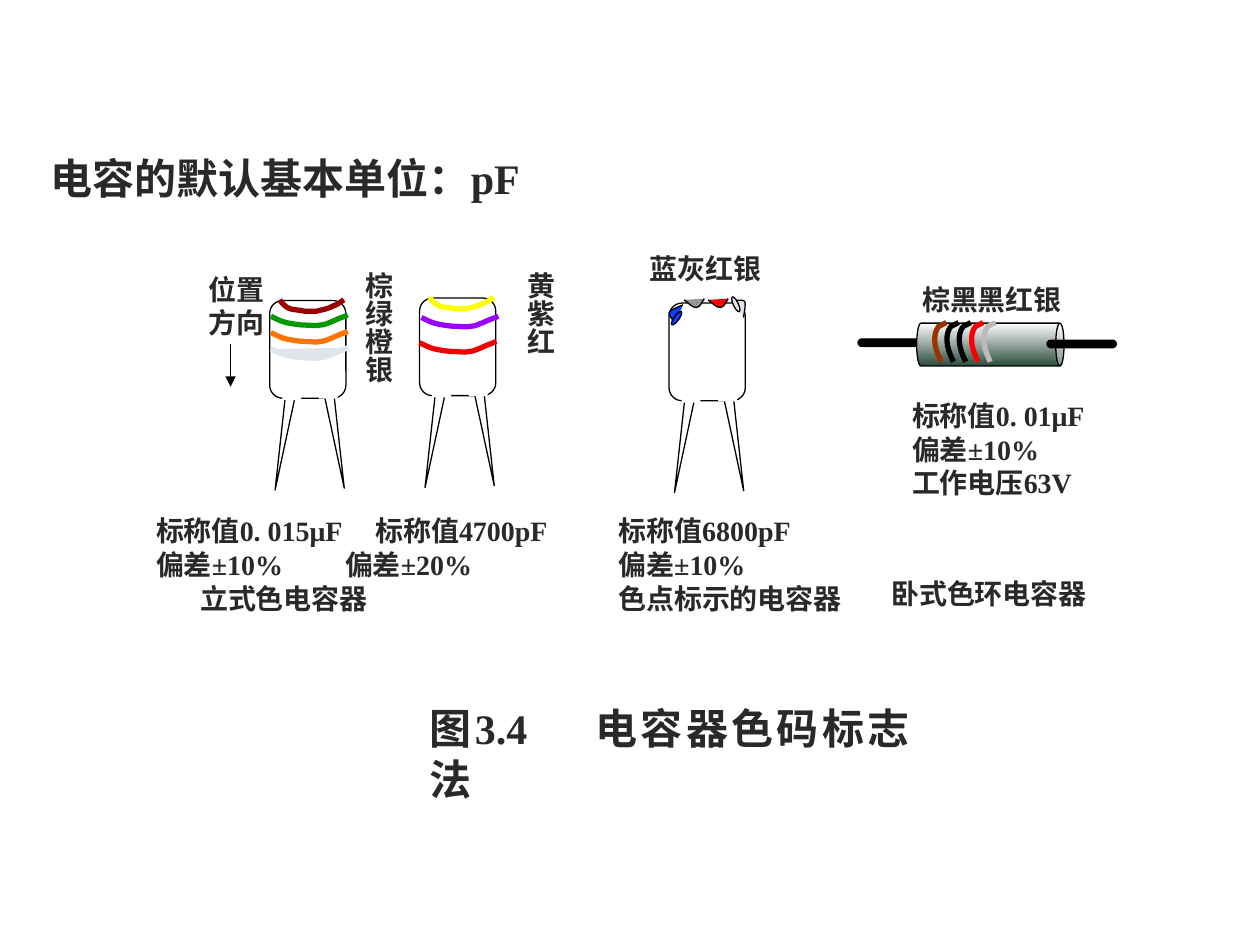
from math import cos, radians, sin

from lxml.etree import SubElement
from pptx import Presentation
from pptx.dml.color import RGBColor
from pptx.enum.shapes import MSO_CONNECTOR, MSO_SHAPE
from pptx.enum.text import MSO_AUTO_SIZE, PP_ALIGN
from pptx.oxml.ns import qn
from pptx.util import Inches, Pt

# Lengths are cells of a square grid, 1000 columns by 750 rows
THEME = dict(font="Times New Roman", ink="292929", line="000000", paper="FFFFFF",
             shade="2C4D3E", silver="E0E5EC", red="F80004", blue="0E3DFD",
             body=16, head=24, thin=0.75, band=3)
COLS = 1000

# Text: box, paragraphs as (text, indent, tab stop), options
TEXTS = [
    ((506, 194.5, 111, 42), [("蓝灰红银", 0, 0)], {}),
    ((481, 403, 217, 90),
     [("标称值6800pF", 0, 0), ("偏差±10%", 0, 0), ("色点标示的电容器", 0, 0)], {}),
    ((722, 219, 158, 25), [("棕黑黑红银", 0, 0)], {}),
    ((714, 311.5, 175, 100),
     [("标称值0. 01μF", 0, 0), ("偏差±10%", 0, 0), ("工作电压63V", 0, 0)], {}),
    ((114, 403, 344, 100),
     [("标称值0. 015μF\t标称值4700pF", 0, 174), ("偏差±10%\t偏差±20%", 0, 150),
      ("立式色电容器", 35, 0)], {}),
    ((697.5, 453, 192, 50), [("卧式色环电容器", 0, 0)], {}),
    ((331, 553, 401, 78), [("图3.4\t电容器色码标志法", 0, 126)], {"size": "head"}),
    ((156, 211, 65, 112), [("位置", 0, 0), ("方向", 0, 0)], {}),
    ((264, 203, 55, 116), [("棕绿橙银", 0, 0)], {"vertical": True}),
    ((389, 203, 58, 93), [("黄紫红", 0, 0)], {"vertical": True}),
    ((30.5, 116, 445, 50), [("电容的默认基本单位：pF", 0, 0)],
     {"size": "head", "align": PP_ALIGN.LEFT, "grow": True}),
]

# Bezier outlines: a start point, then three points per segment;
# a spare last point only widens the frame
SHORT = [(0, 0), (2, 3), (5, 6), (8, 7), (11, 8), (16, 8), (20, 9), (23, 9), (26, 9),
         (29, 9), (33, 8), (39, 7), (42, 5), (46, 4), (49, 1), (51, 0)]
LONG = [(0, 1), (4, 3), (8, 5), (12, 6), (17, 7), (23, 8), (27, 8), (32, 8), (36, 9),
        (39, 8), (43, 8), (46, 6), (49, 5), (53, 3), (59, 1), (61, 0)]
RING = [(7, 31), (1, 20), (0, 9), (5, 3), (7, 2), (9, 1), (11, 0), (34, 31)]
DOT = [(0, 1), (2, 2), (7, 8), (10, 7), (13, 7), (15, 1), (16, 0)]
SILVER_DOT = [(590, 252), (591, 246), (592, 241), (591, 239), (589, 237), (582, 239), (581, 239)]
BLUE_DOT = [(542, 242), (537, 244), (532, 246), (531, 248), (530, 250), (535, 255), (536, 257)]

# Upright capacitors: corner, bands as (outline, dx, dy, colour, fill)
UPRIGHT = [
    ((214, 238.5), [(SHORT, 8, -0.5, "990000", None), (LONG, 1, 11.5, "009900", None),
                    (LONG, 1, 24.5, "FF7400", None),
                    (LONG, 1, 37.5, THEME["silver"], THEME["silver"])]),
    ((333, 236.5), [(SHORT, 8, -0.5, "FFFF00", None), (LONG, 1.5, 14.5, "9900FF", None),
                    (LONG, 0, 34.5, "F00000", None)]),
    ((531, 240.5), []),
]
LEGS = [((6.5, 73, 8, 78), 189.2, (10, 64, 15, 15)), ((49, 71.5, 8, 78), 170.8, (39, 63, 15, 15))]
DOTS = [(DOT, 562, 237, THEME["red"], 0), (DOT, 543, 237, "969696", 0),
        (SILVER_DOT, 0, 0, THEME["silver"], 190.3), (BLUE_DOT, 0, 0, THEME["blue"], 71.3)]
DOT_RIMS = [((582, 235, 4, 13), 335.2, THEME["silver"]), ((535, 246, 4, 13), 216.2, THEME["blue"])]
RINGS = ["993300", "000000", "000000", THEME["red"], "BDBAB9"]

prs = Presentation()
prs.slide_width, prs.slide_height = Inches(10), Inches(7.5)
slide = prs.slides.add_slide(prs.slide_layouts[6])
shapes = slide.shapes


def grid(*cells):
    return [round(c * prs.slide_width / COLS) for c in cells]


def paint(s, fill, line, width=THEME["thin"]):
    s.shadow.inherit = False
    if fill:
        s.fill.solid()
        s.fill.fore_color.rgb = RGBColor.from_string(fill)
    else:
        s.fill.background()
    if line:
        s.line.color.rgb = RGBColor.from_string(line)
        s.line.width = Pt(width)
    else:
        s.line.fill.background()
    return s


def preset(kind, box, fill=THEME["paper"], line=THEME["line"], turn=0, adj=None):
    s = paint(shapes.add_shape(kind, *grid(*box)), fill, line)
    s.rotation = turn
    if adj is not None:
        s.adjustments[0] = adj
    return s


def rotate(x, y, angle):
    c, d = cos(radians(angle)), sin(radians(angle))
    return x * c - y * d, x * d + y * c


def curve(outline, dx, dy, fill, line, width, turn=0):
    points = [grid(*rotate(x + dx, y + dy, -turn)) for x, y in outline]
    builder = shapes.build_freeform(*points[0])
    builder.add_line_segments(points[1:], close=False)
    s = paint(builder.convert_to_shape(), fill, line, width)
    # Turn the frame about its own middle
    cx, cy = rotate(s.left + s.width / 2, s.top + s.height / 2, turn)
    s.left, s.top = round(cx - s.width / 2), round(cy - s.height / 2)
    s.rotation = turn
    # Each three line ends become one Bezier segment
    track = next(s._element.iter(qn("a:path")))
    ends = track.findall(qn("a:lnTo"))
    for i, end in enumerate(ends):
        if i % 3 == 0 and i + 3 <= len(ends):
            bezier = SubElement(track, qn("a:cubicBezTo"))
        if i < len(ends) // 3 * 3:
            bezier.append(end[0])
        track.remove(end)


def write(box, paragraphs, size="body", align=PP_ALIGN.JUSTIFY, vertical=False, grow=False):
    s = shapes.add_textbox(*grid(*box))
    tf = s.text_frame
    tf.word_wrap = True
    if grow:
        tf.auto_size = MSO_AUTO_SIZE.SHAPE_TO_FIT_TEXT
    side, end = grid(5, 13) if vertical else grid(10, 5)
    tf.margin_left = tf.margin_right = side
    tf.margin_top = tf.margin_bottom = end
    if vertical:
        tf.margin_bottom = grid(7)[0]
        s._element.txBody.find(qn("a:bodyPr")).set("vert", "eaVert")
    for i, (text, indent, tab) in enumerate(paragraphs):
        p = tf.add_paragraph() if i else tf.paragraphs[0]
        p.alignment = align
        pPr = p._p.get_or_add_pPr()
        if indent:
            pPr.set("marL", str(grid(indent)[0]))
        if tab:
            stops = SubElement(pPr, qn("a:tabLst"))
            SubElement(stops, qn("a:tab"), pos=str(grid(tab)[0]), algn="l")
        r = p.add_run()
        r.text = text
        r.font.name, r.font.size, r.font.bold = THEME["font"], Pt(THEME[size]), True
        r.font.color.rgb = RGBColor.from_string(THEME["ink"])


# Upright capacitors: body, colour bands, legs with the joints hidden
for (x, y), bands in UPRIGHT:
    preset(MSO_SHAPE.ROUNDED_RECTANGLE, (x, y, 60.5, 77.5), adj=0.17)
    for outline, dx, dy, colour, fill in bands:
        curve(outline, x + dx, y + dy, fill, colour, THEME["band"])
    if bands:
        preset(MSO_SHAPE.RECTANGLE, (x + 47, y + 71, 5, 7), line=None)
    for (lx, ly, w, h), turn, (jx, jy, jw, jh) in LEGS:
        preset(MSO_SHAPE.ISOSCELES_TRIANGLE, (x + lx, y + ly, w, h), turn=turn)
        preset(MSO_SHAPE.RECTANGLE, (x + jx, y + jy, jw, jh), line=None)

# Colour dots on the third capacitor
for outline, dx, dy, colour, turn in DOTS:
    curve(outline, dx, dy, colour, THEME["line"], THEME["thin"], turn)
for box, turn, colour in DOT_RIMS:
    preset(MSO_SHAPE.OVAL, box, colour, turn=turn)

# Horizontal capacitor: lead, body, lead, colour rings
LEAD = dict(fill=THEME["line"], adj=0.5)
preset(MSO_SHAPE.ROUNDED_RECTANGLE, (681, 269, 55, 6), **LEAD)
can = preset(MSO_SHAPE.CAN, (769, 215, 34, 117), turn=90, adj=0.195)
can.fill.gradient()
can.fill.gradient_angle = 0
for stop, colour in zip(can.fill.gradient_stops, (THEME["paper"], THEME["shade"])):
    stop.color.rgb = RGBColor.from_string(colour)
preset(MSO_SHAPE.ROUNDED_RECTANGLE, (831, 270, 55, 6), **LEAD)
for i, colour in enumerate(RINGS):
    curve(RING, 740 + 9.75 * i, 256, None, colour, THEME["band"], turn=224)

# Reading direction arrow
arrow = shapes.add_connector(MSO_CONNECTOR.STRAIGHT, *grid(183, 273, 183, 307))
arrow.line.color.rgb = RGBColor.from_string(THEME["line"])
arrow.line.width = Pt(THEME["thin"])
SubElement(arrow.line._get_or_add_ln(), qn("a:tailEnd"), type="triangle")
SubElement(arrow._element.spPr, qn("a:effectLst"))

# Labels and captions
for box, paragraphs, options in TEXTS:
    write(box, paragraphs, **options)

prs.save("out.pptx")
